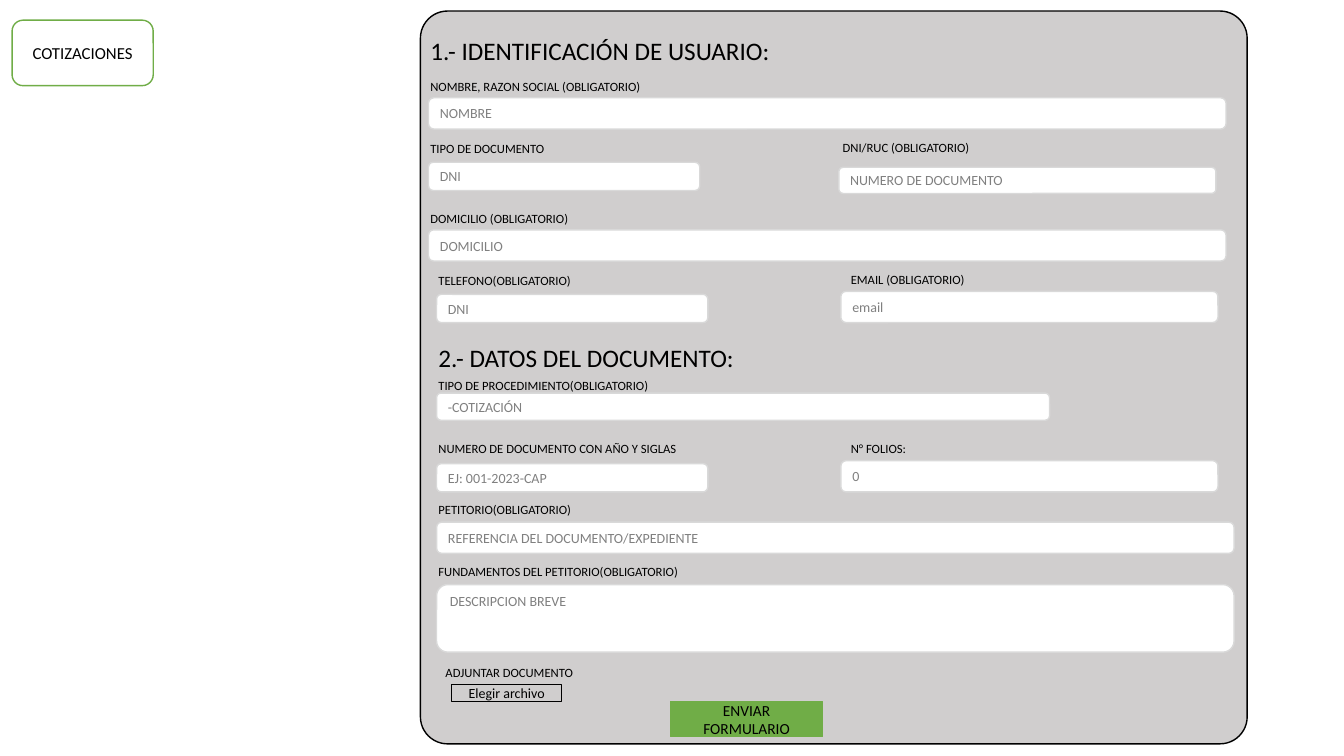
"""Build the quotation request form slide."""
import pptx
import pptx.dml.color
import pptx.enum.shapes
import pptx.enum.text
import pptx.util
from pptx.util import Inches

COLORS = {
    "white": "FFFFFF",
    "black": "000000",
    "panel": "D0CECE",
    "border": "D9D9D9",
    "prompt": "808080",
    "green": "70AD47",
}
FONT = "Calibri"
ROUNDED = pptx.enum.shapes.MSO_SHAPE.ROUNDED_RECTANGLE
SQUARE = pptx.enum.shapes.MSO_SHAPE.RECTANGLE
TOP = pptx.enum.text.MSO_ANCHOR.TOP
MIDDLE = pptx.enum.text.MSO_ANCHOR.MIDDLE
LEFT = pptx.enum.text.PP_ALIGN.LEFT
CENTER = pptx.enum.text.PP_ALIGN.CENTER

FULL, WIDE, HALF, SHORT = 7.91, 6.08, 3.74, 2.69
LABEL_WIDTH, LABEL_HEIGHT = 2.34, 0.4

HEADINGS = [
    ("1.- IDENTIFICACIÓN DE USUARIO:", (4.17, 0.3, 3.61, 0.4)),
    ("2.- DATOS DEL DOCUMENTO:", (4.25, 3.35, 3.18, 0.4)),
]

LABELS = [
    ("NOMBRE, RAZON SOCIAL (OBLIGATORIO)", 4.17, 0.73, LABEL_WIDTH),
    ("TIPO DE DOCUMENTO", 4.17, 1.35, LABEL_WIDTH),
    ("DNI/RUC (OBLIGATORIO)", 8.26, 1.34, LABEL_WIDTH),
    ("DOMICILIO (OBLIGATORIO)", 4.17, 2.04, LABEL_WIDTH),
    ("TELEFONO(OBLIGATORIO)", 4.25, 2.66, LABEL_WIDTH),
    ("EMAIL (OBLIGATORIO)", 8.34, 2.65, LABEL_WIDTH),
    ("TIPO DE PROCEDIMIENTO(OBLIGATORIO)", 4.25, 3.7, LABEL_WIDTH),
    ("NUMERO DE DOCUMENTO CON AÑO Y SIGLAS", 4.25, 4.33, 2.57),
    ("N° FOLIOS:", 8.34, 4.33, LABEL_WIDTH),
    ("PETITORIO(OBLIGATORIO)", 4.25, 4.93, LABEL_WIDTH),
    ("FUNDAMENTOS DEL PETITORIO(OBLIGATORIO)", 4.25, 5.55, 3.36),
    ("ADJUNTAR DOCUMENTO", 4.32, 6.55, 1.51),
]

FIELDS = [
    ("NOMBRE", (4.25, 0.97, FULL, 0.31), MIDDLE),
    ("DNI", (4.25, 1.61, SHORT, 0.28), MIDDLE),
    ("NUMERO DE DOCUMENTO", (8.32, 1.66, HALF, 0.26), MIDDLE),
    ("DOMICILIO", (4.25, 2.28, FULL, 0.31), MIDDLE),
    ("DNI", (4.33, 2.92, SHORT, 0.28), MIDDLE),
    ("email", (8.34, 2.89, HALF, 0.31), MIDDLE),
    ("-COTIZACIÓN", (4.33, 3.9, WIDE, 0.27), MIDDLE),
    ("EJ: 001-2023-CAP", (4.33, 4.6, SHORT, 0.28), MIDDLE),
    ("0", (8.34, 4.57, HALF, 0.31), MIDDLE),
    ("REFERENCIA DEL DOCUMENTO/EXPEDIENTE", (4.33, 5.18, FULL, 0.31), MIDDLE),
    ("DESCRIPCION BREVE", (4.33, 5.8, FULL, 0.67), TOP),
]

BUTTONS = [
    ("COTIZACIONES", (0.12, 0.2, 1.4, 0.65), ROUNDED, "white", "green", 12),
    ("Elegir archivo", (4.48, 6.79, 1.09, 0.17), SQUARE, "panel", "black", 10),
    ("ENVIAR FORMULARIO", (6.65, 6.96, 1.51, 0.35), SQUARE, "green", "green", 11),
]


def rgb(name):
    return pptx.dml.color.RGBColor.from_string(COLORS[name])


def write_text(shape, text, size, color, align=LEFT, anchor=TOP, wrap=True):
    frame = shape.text_frame
    for name, value in {"word_wrap": wrap, "vertical_anchor": anchor}.items():
        setattr(frame, name, value)
    paragraph = frame.paragraphs[0]
    paragraph.alignment = align
    run = paragraph.add_run()
    run.text = text
    run.font.color.rgb = rgb(color)
    for name, value in {"name": FONT, "size": pptx.util.Pt(size)}.items():
        setattr(run.font, name, value)


def add_box(slide, kind, box, fill, line):
    shape = slide.shapes.add_shape(kind, *map(Inches, box))
    shape.shadow.inherit = False
    shape.fill.solid()
    shape.fill.fore_color.rgb = rgb(fill)
    shape.line.color.rgb = rgb(line)
    shape.line.width = pptx.util.Pt(1)
    return shape


def add_caption(slide, text, box, size, wrap=True):
    caption = slide.shapes.add_textbox(*map(Inches, box))
    write_text(caption, text, size, "black", wrap=wrap)


def add_field(slide, prompt, box, anchor):
    field = add_box(slide, ROUNDED, box, "white", "border")
    write_text(field, prompt, 10, "prompt", anchor=anchor)


def add_button(slide, text, box, kind, fill, line, size):
    button = add_box(slide, kind, box, fill, line)
    write_text(button, text, size, "black", CENTER, MIDDLE)


def main():
    presentation = pptx.Presentation()
    presentation.slide_width = Inches(13.33)
    presentation.slide_height = Inches(7.5)
    slide = presentation.slides.add_slide(presentation.slide_layouts[6])

    panel = add_box(slide, ROUNDED, (4.17, 0.11, 8.2, 7.27), "panel", "black")
    panel.adjustments[0] = 0.037
    for text, box in HEADINGS:
        add_caption(slide, text, box, 18, wrap=False)
    for text, left, top, width in LABELS:
        add_caption(slide, text, (left, top, width, LABEL_HEIGHT), 9)
    for field in FIELDS:
        add_field(slide, *field)
    for button in BUTTONS:
        add_button(slide, *button)

    presentation.save("out.pptx")


if __name__ == "__main__":
    main()
